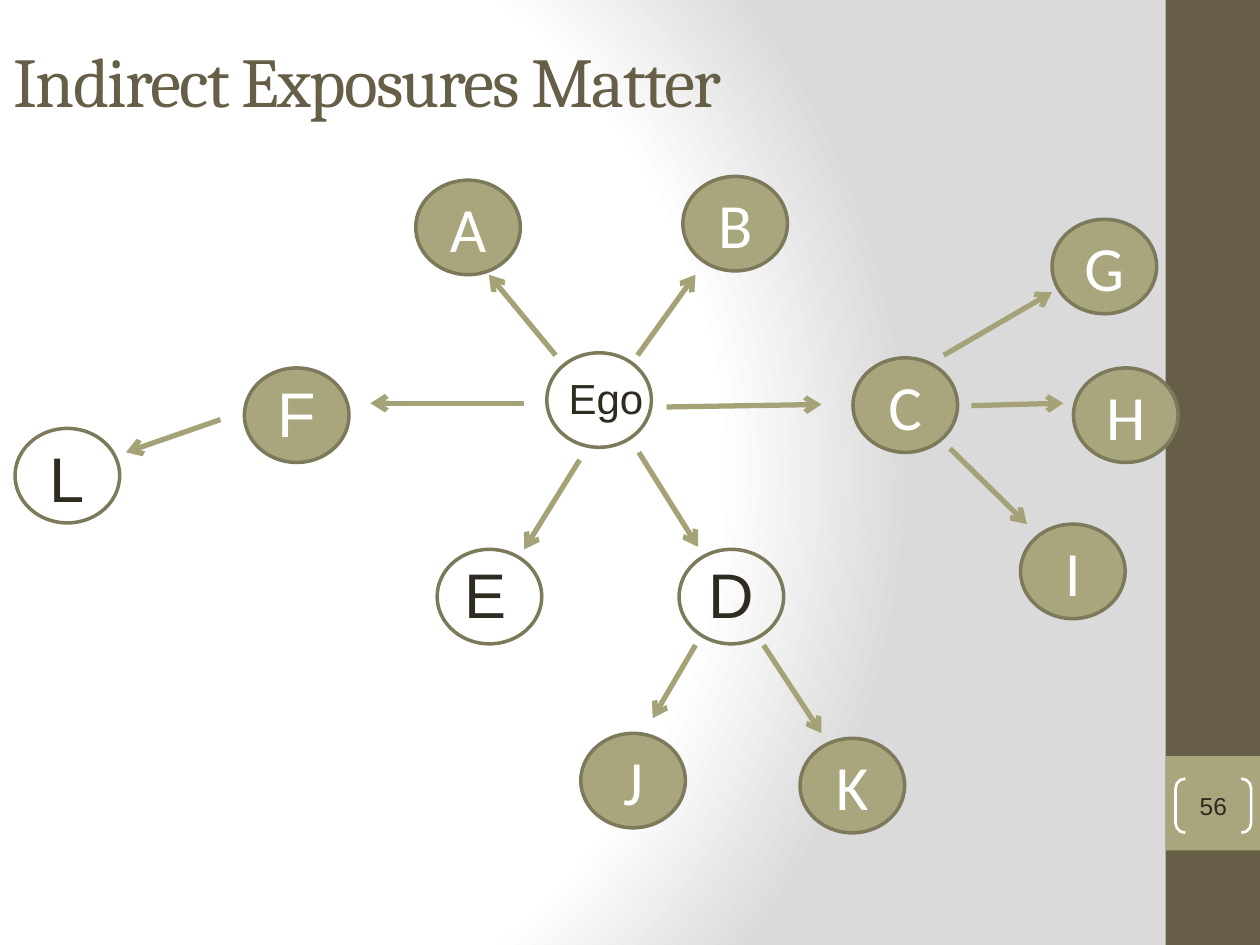
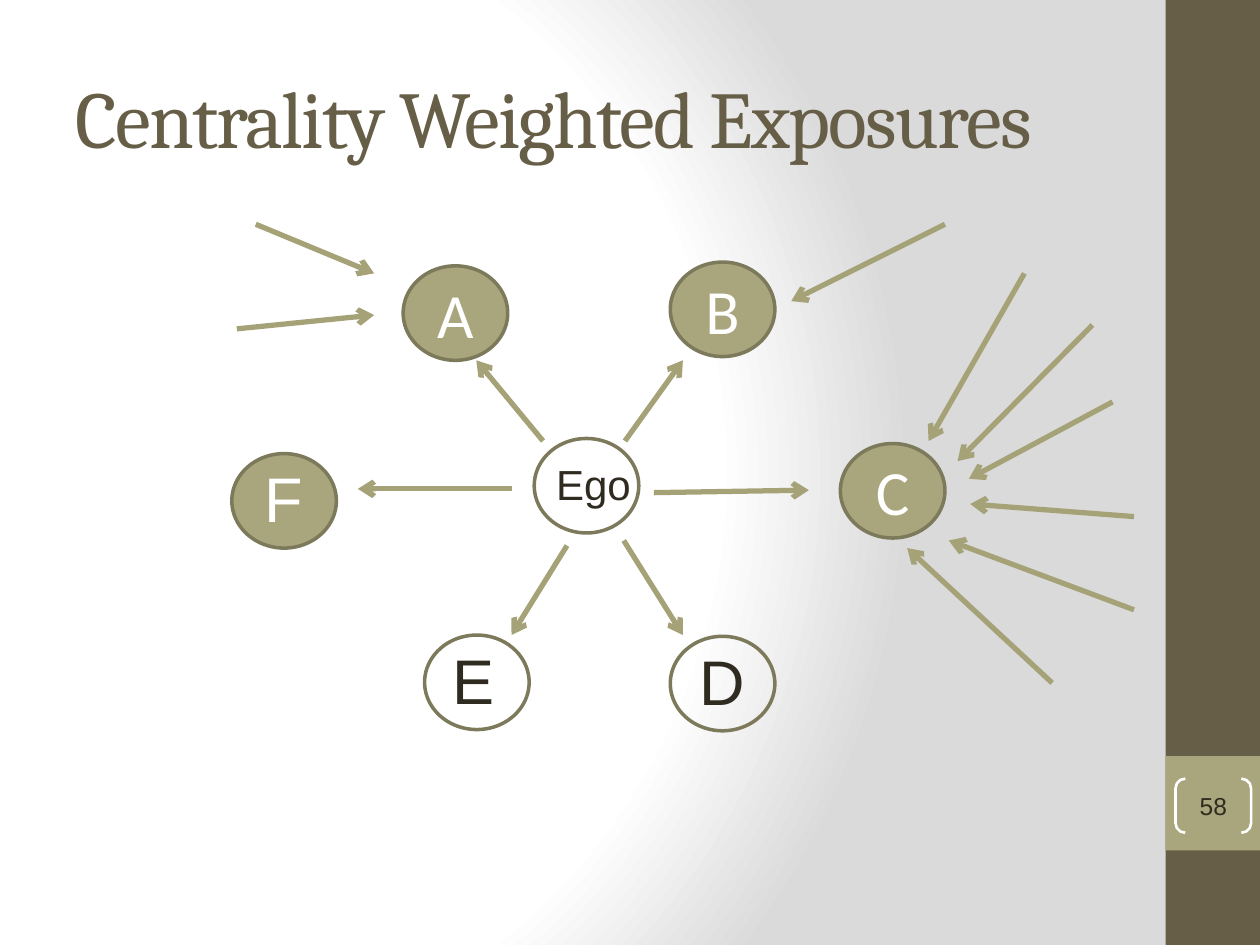
from dataclasses import dataclass, replace
from typing import Optional

from lxml import etree
from pptx import Presentation, util as u
from pptx.dml.color import RGBColor
from pptx.enum import shapes, text
from pptx.oxml import ns, parse_xml

COLUMNS, ROWS = 100, 75
CELL = u.Inches(10) / COLUMNS
BAND_LEFT, BAND_WIDTH = 92.5, 7.5
NODE_WIDTH, NODE_HEIGHT = 8.3, 7.5

BROWN, OLIVE, OUTLINE = "675E47", "A9A57C", "7D7A5C"
ARROW, INK, WHITE, GREY = "A6A278", "2F2B20", "FFFFFF", "DADADA"


@dataclass(frozen=True)
class Style:
    font: str
    size: float
    color: str
    align: text.PP_ALIGN = text.PP_ALIGN.CENTER
    spacing: int = 0


@dataclass(frozen=True)
class Box:
    column: float
    row: float
    width: float
    height: float


@dataclass(frozen=True)
class Label:
    width: float
    height: float = 7.1
    size: int = 36
    right: float = 0
    down: float = 0


@dataclass(frozen=True)
class Node:
    name: str
    column: float
    row: float
    filled: bool = True
    label: Optional[Label] = None


@dataclass(frozen=True)
class Arrow:
    column: float
    row: float
    end_column: float
    end_row: float


@dataclass(frozen=True)
class Page:
    title: str
    title_box: Box
    title_size: int
    number: str
    nodes: list[Node]
    arrows: list[Arrow]


def rgb(color: str) -> RGBColor:
    return RGBColor.from_string(color)


def grid(cells: float) -> int:
    return round(cells * CELL)


def place(box: Box) -> tuple[int, ...]:
    return tuple(grid(side) for side in (box.column, box.row, box.width, box.height))


def write(shape, words: str, style: Style) -> None:
    paragraph = shape.text_frame.paragraphs[0]
    paragraph.alignment = style.align
    run = paragraph.add_run()
    run.text = words
    run.font.name = style.font
    run.font.size = u.Pt(style.size)
    run.font.color.rgb = rgb(style.color)
    if style.spacing:
        run._r.get_or_add_rPr().set("spc", str(style.spacing))


def add_shape(slide, kind, box: Box, fill: str = "", line: str = "", weight: float = 2):
    shape = slide.shapes.add_shape(kind, *place(box))
    shape.shadow.inherit = False
    if fill:
        shape.fill.solid()
        shape.fill.fore_color.rgb = rgb(fill)
    else:
        shape.fill.background()
    if line:
        shape.line.color.rgb = rgb(line)
        shape.line.width = u.Pt(weight)
    else:
        shape.line.fill.background()
    shape.text_frame.vertical_anchor = text.MSO_ANCHOR.MIDDLE
    return shape


def add_text(slide, words: str, box: Box, style: Style, wrap: bool = False) -> None:
    shape = slide.shapes.add_textbox(*place(box))
    shape.text_frame.word_wrap = wrap
    if wrap:
        shape.text_frame.vertical_anchor = text.MSO_ANCHOR.MIDDLE
    else:
        shape.text_frame.auto_size = text.MSO_AUTO_SIZE.SHAPE_TO_FIT_TEXT
    write(shape, words, style)


def add_node(slide, node: Node) -> None:
    box = Box(node.column, node.row, NODE_WIDTH, NODE_HEIGHT)
    fill = OLIVE if node.filled else ""
    ellipse = add_shape(slide, shapes.MSO_SHAPE.OVAL, box, fill, OUTLINE)
    if node.label is None:
        write(ellipse, node.name, Style("Calibri", 36, WHITE))
        return
    label = node.label
    label_column = node.column + (NODE_WIDTH - label.width) / 2 + label.right
    label_box = Box(label_column, node.row + label.down, label.width, label.height)
    color = WHITE if node.filled else INK
    add_text(slide, node.name, label_box, Style("Arial", label.size, color))


def add_arrow(slide, arrow: Arrow) -> None:
    ends = (arrow.column, arrow.row, arrow.end_column, arrow.end_row)
    connector = slide.shapes.add_connector(
        shapes.MSO_CONNECTOR.STRAIGHT, *(grid(end) for end in ends)
    )
    connector.line.color.rgb = rgb(ARROW)
    connector.line.width = u.Pt(3)
    etree.SubElement(connector.line._get_or_add_ln(), ns.qn("a:tailEnd"), type="arrow")
    etree.SubElement(connector._element.spPr, ns.qn("a:effectLst"))


def set_background(master) -> None:
    master.background.fill.solid()
    solid = master._element.cSld.find(".//" + ns.qn("a:solidFill"))
    stops = "".join(
        f'<a:gs pos="{share * 1000}"><a:srgbClr val="{color}"/></a:gs>'
        for share, color in ((0, WHITE), (75, WHITE), (100, GREY))
    )
    gradient = parse_xml(
        f'<a:gradFill {ns.nsdecls("a")} rotWithShape="1"><a:gsLst>{stops}</a:gsLst>'
        '<a:path path="circle"><a:fillToRect l="20000" t="50000" r="100000" b="50000"/>'
        "</a:path></a:gradFill>"
    )
    solid.getparent().replace(solid, gradient)


def add_frame(slide, page: Page) -> None:
    rectangle = shapes.MSO_SHAPE.RECTANGLE
    add_shape(slide, rectangle, Box(BAND_LEFT, 0, BAND_WIDTH, ROWS), BROWN)
    add_shape(slide, rectangle, Box(BAND_LEFT, 60, BAND_WIDTH, BAND_WIDTH), OLIVE)
    title_style = Style("Cambria", page.title_size, BROWN, text.PP_ALIGN.LEFT, -100)
    add_text(slide, page.title, page.title_box, title_style, wrap=True)


def add_number(slide, number: str) -> None:
    brackets = add_shape(
        slide, shapes.MSO_SHAPE.DOUBLE_BRACKET, Box(93.3, 61.8, 6, 4.3), "", WHITE, 1.5
    )
    brackets.adjustments[0] = 0.18
    frame = brackets.text_frame
    frame.margin_left = frame.margin_right = frame.margin_top = frame.margin_bottom = 0
    write(brackets, number, Style("Arial", 14, INK))


def shift_node(node: Node, right: float, down: float) -> Node:
    return replace(node, column=node.column + right, row=node.row + down)


def shift_arrow(arrow: Arrow, right: float, down: float) -> Arrow:
    return Arrow(
        arrow.column + right,
        arrow.row + down,
        arrow.end_column + right,
        arrow.end_row + down,
    )


D_LABEL = Label(5.7)
EGO_NODES = [
    Node("A", 33, 14.3),
    Node("B", 54.2, 14),
    Node("C", 67.7, 28.4),
    Node("E", 34.7, 43.6, False, Label(5.4, right=-0.3)),
    Node("F", 19.4, 29.2, True, Label(5.1)),
    Node("Ego", 43.4, 28, False, Label(8, 5, 24, right=0.55, down=1.1)),
]
EGO_ARROWS = [
    Arrow(50.6, 28.2, 55.2, 21.8),
    Arrow(44.1, 28.2, 38.8, 21.8),
    Arrow(41.6, 32, 29.4, 32),
    Arrow(46, 36.5, 41.6, 43.6),
    Arrow(52.9, 32.3, 65.2, 32.1),
]
EGO_SHIFT = (-1, 6.8)

PAGES = [
    Page(
        "Indirect Exposures Matter", Box(0.1, 1.7, 95, 9.2), 40, "56",
        EGO_NODES + [
            Node("D", 53.9, 43.6, False, D_LABEL),
            Node("G", 83.5, 17.4),
            Node("H", 85.2, 29.2),
            Node("I", 81, 41.6),
            Node("J", 46.1, 58.2),
            Node("K", 63.5, 58.6),
            Node("L", 1.2, 34, False, Label(4.8, down=0.4)),
        ],
        EGO_ARROWS + [
            Arrow(50.7, 35.9, 55.4, 43.4),
            Arrow(17.5, 33.3, 10, 35.9),
            Arrow(77.1, 32.2, 84.4, 32),
            Arrow(75.4, 35.6, 81.5, 41.6),
            Arrow(74.9, 28.2, 83.5, 23.2),
            Arrow(55.2, 51.2, 51.8, 57),
            Arrow(60.6, 51.2, 65.2, 58.2),
        ],
    ),
    Page(
        "Centrality Weighted Exposures", Box(5, 3, 83.3, 12.5), 46, "58",
        [shift_node(node, *EGO_SHIFT) for node in EGO_NODES]
        + [Node("D", 53.2, 50.5, False, D_LABEL)],
        [shift_arrow(arrow, *EGO_SHIFT) for arrow in EGO_ARROWS] + [
            Arrow(49.5, 42.9, 54.2, 50.4),
            Arrow(75, 17.8, 62.8, 23.9),
            Arrow(81.3, 21.7, 73.7, 35),
            Arrow(86.7, 25.8, 76, 36.6),
            Arrow(88.3, 31.9, 76.9, 38),
            Arrow(90, 41, 77, 40),
            Arrow(90, 48.4, 75.3, 42.9),
            Arrow(83.5, 54.2, 72, 43.5),
            Arrow(20.3, 17.8, 29.7, 21.7),
            Arrow(18.8, 26.1, 29.7, 25),
        ],
    ),
]


def main() -> None:
    presentation = Presentation()
    presentation.slide_width = grid(COLUMNS)
    presentation.slide_height = grid(ROWS)
    set_background(presentation.slide_master)
    for page in PAGES:
        slide = presentation.slides.add_slide(presentation.slide_layouts[6])
        add_frame(slide, page)
        for node in page.nodes:
            add_node(slide, node)
        for arrow in page.arrows:
            add_arrow(slide, arrow)
        add_number(slide, page.number)
    presentation.save("out.pptx")


if __name__ == "__main__":
    main()
